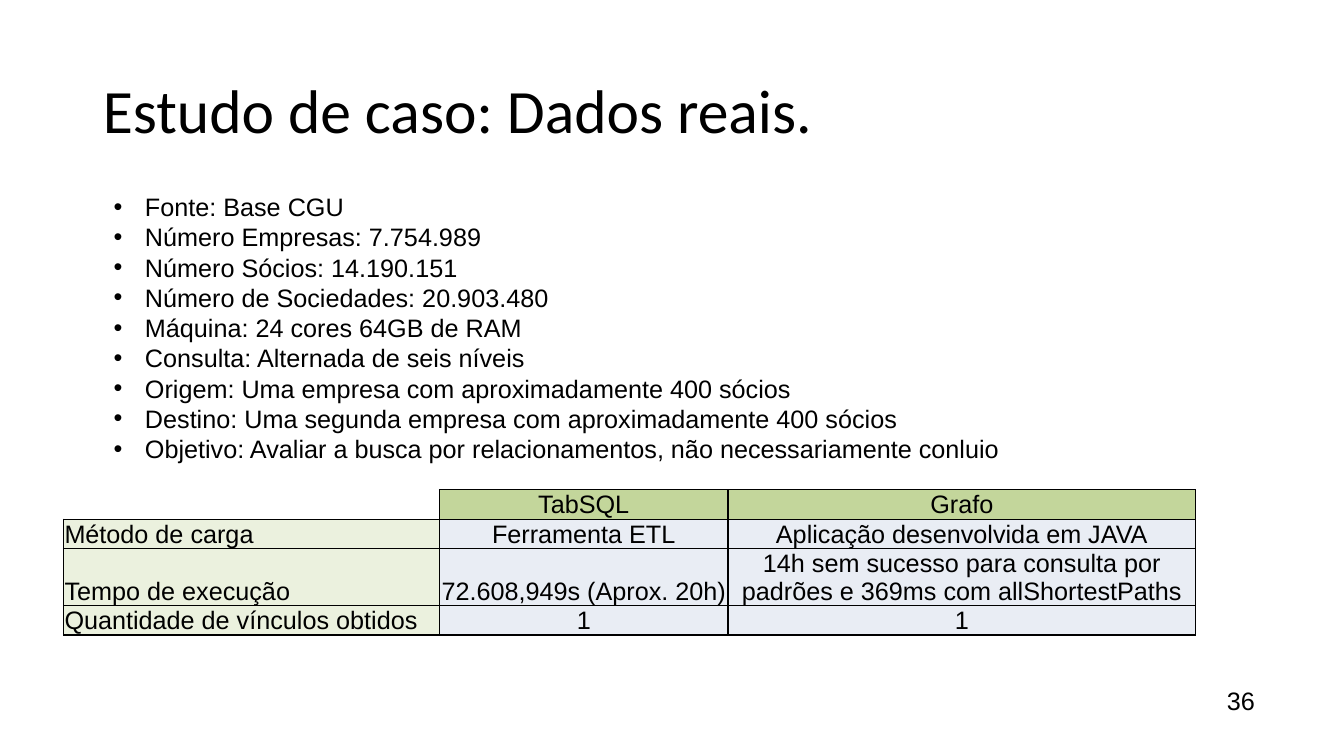
from pptx import Presentation
from pptx.dml.color import RGBColor
from pptx.enum.text import MSO_ANCHOR as Anchor, MSO_AUTO_SIZE as AutoSize, PP_ALIGN as Align
from pptx.oxml import parse_xml
from pptx.oxml.ns import nsdecls
from pptx.util import Inches, Pt

TITLE = "Estudo de caso: Dados reais."
FACTS = [
    "Fonte: Base CGU",
    "Número Empresas: 7.754.989",
    "Número Sócios: 14.190.151",
    "Número de Sociedades: 20.903.480",
    "Máquina: 24 cores 64GB de RAM",
    "Consulta: Alternada de seis níveis",
    "Origem: Uma empresa com aproximadamente 400 sócios",
    "Destino: Uma segunda empresa com aproximadamente 400 sócios",
    "Objetivo: Avaliar a busca por relacionamentos, não necessariamente conluio",
]
RESULTS = [
    ["", "TabSQL", "Grafo"],
    ["Método de carga", "Ferramenta ETL", "Aplicação desenvolvida em JAVA"],
    ["Tempo de execução", "72.608,949s (Aprox. 20h)",
     "14h sem sucesso para consulta por padrões e 369ms com allShortestPaths"],
    ["Quantidade de vínculos obtidos", "1", "1"],
]
COLUMN_WIDTHS = [3.73, 2.86, 4.64]
ROW_HEIGHTS = [0.29, 0.29, 0.57, 0.29]
BLACK, WHITE = "000000", "FFFFFF"
HEADER_FILL, LABEL_FILL, VALUE_FILL = "C3D69B", "EBF1DE", "E9EDF4"
BODY_FONT = {"name": "Arial", "size": Pt(18)}
TITLE_FONT = {"name": "Calibri", "size": Pt(44)}
CELL_FORMAT = {
    "vertical_anchor": Anchor.BOTTOM,
    "margin_left": Inches(0.01), "margin_right": Inches(0.01),
    "margin_top": Inches(0.01), "margin_bottom": 0,
}


def rgb(value):
    return RGBColor.from_string(value)


def apply(target, values):
    for key, value in values.items():
        setattr(target, key, value)


def write(paragraph, text, font):
    run = paragraph.add_run()
    run.text = text
    apply(run.font, font)
    run.font.color.rgb = rgb(BLACK)


def add_title(slide, text):
    title = slide.shapes.title
    apply(title, {"left": Inches(0.92), "top": Inches(0.4),
                  "width": Inches(11.5), "height": Inches(1.45)})
    apply(title.text_frame, {"vertical_anchor": Anchor.MIDDLE, "word_wrap": True,
                             "auto_size": AutoSize.NONE})
    paragraph = title.text_frame.paragraphs[0]
    apply(paragraph, {"alignment": Align.LEFT, "line_spacing": 0.9})
    write(paragraph, text, TITLE_FONT)


def add_bullet(paragraph):
    properties = paragraph._p.get_or_add_pPr()
    properties.set("marL", str(Inches(0.31)))
    properties.set("indent", str(-Inches(0.31)))
    properties.append(parse_xml(f'<a:buFont {nsdecls("a")} typeface="Arial"/>'))
    properties.append(parse_xml(f'<a:buChar {nsdecls("a")} char="•"/>'))


def add_text(slide, position, lines, bulleted=False):
    frame = slide.shapes.add_textbox(*map(Inches, position)).text_frame
    apply(frame, {"word_wrap": False, "auto_size": AutoSize.SHAPE_TO_FIT_TEXT})
    for index, line in enumerate(lines):
        paragraph = frame.add_paragraph() if index else frame.paragraphs[0]
        if bulleted:
            add_bullet(paragraph)
        write(paragraph, line, BODY_FONT)


def add_borders(cell, sides):
    properties = cell._tc.get_or_add_tcPr()
    for position, side in enumerate(sides):
        properties.insert(position, parse_xml(
            f'<a:ln{side} {nsdecls("a")} w="{Pt(1)}"><a:solidFill>'
            f'<a:srgbClr val="{BLACK}"/></a:solidFill></a:ln{side}>'))


def cell_fill(row, column):
    if row == 0:
        return HEADER_FILL if column else WHITE
    return VALUE_FILL if column else LABEL_FILL


def format_cell(cell, text, row, column):
    apply(cell, CELL_FORMAT)
    cell.fill.solid()
    cell.fill.fore_color.rgb = rgb(cell_fill(row, column))
    add_borders(cell, "LRTB" if text else "RB")
    paragraph = cell.text_frame.paragraphs[0]
    if text:
        paragraph.alignment = Align.CENTER if column else Align.LEFT
        write(paragraph, text, BODY_FONT)
    else:
        # Keeps the blank corner from stretching the header row
        paragraph._p.append(parse_xml(f'<a:endParaRPr {nsdecls("a")} sz="1200"/>'))


def add_results(slide):
    size = (sum(COLUMN_WIDTHS), sum(ROW_HEIGHTS))
    table = slide.shapes.add_table(len(RESULTS), len(COLUMN_WIDTHS),
                                   *map(Inches, (0.63, 4.86, *size))).table
    apply(table, {"first_row": False, "horz_banding": False})
    for column, width in zip(table.columns, COLUMN_WIDTHS):
        column.width = Inches(width)
    for row, height in zip(table.rows, ROW_HEIGHTS):
        row.height = Inches(height)
    for row, texts in enumerate(RESULTS):
        for column, text in enumerate(texts):
            format_cell(table.cell(row, column), text, row, column)


def main():
    deck = Presentation()
    apply(deck, {"slide_width": Inches(13.33), "slide_height": Inches(7.5)})
    slide = deck.slides.add_slide(deck.slide_layouts[5])
    add_results(slide)
    add_title(slide, TITLE)
    add_text(slide, (12.07, 6.75, 0.48, 0.4), ["36"])
    add_text(slide, (1.03, 1.85, 9.07, 2.83), FACTS, bulleted=True)
    deck.save("out.pptx")


if __name__ == "__main__":
    main()
